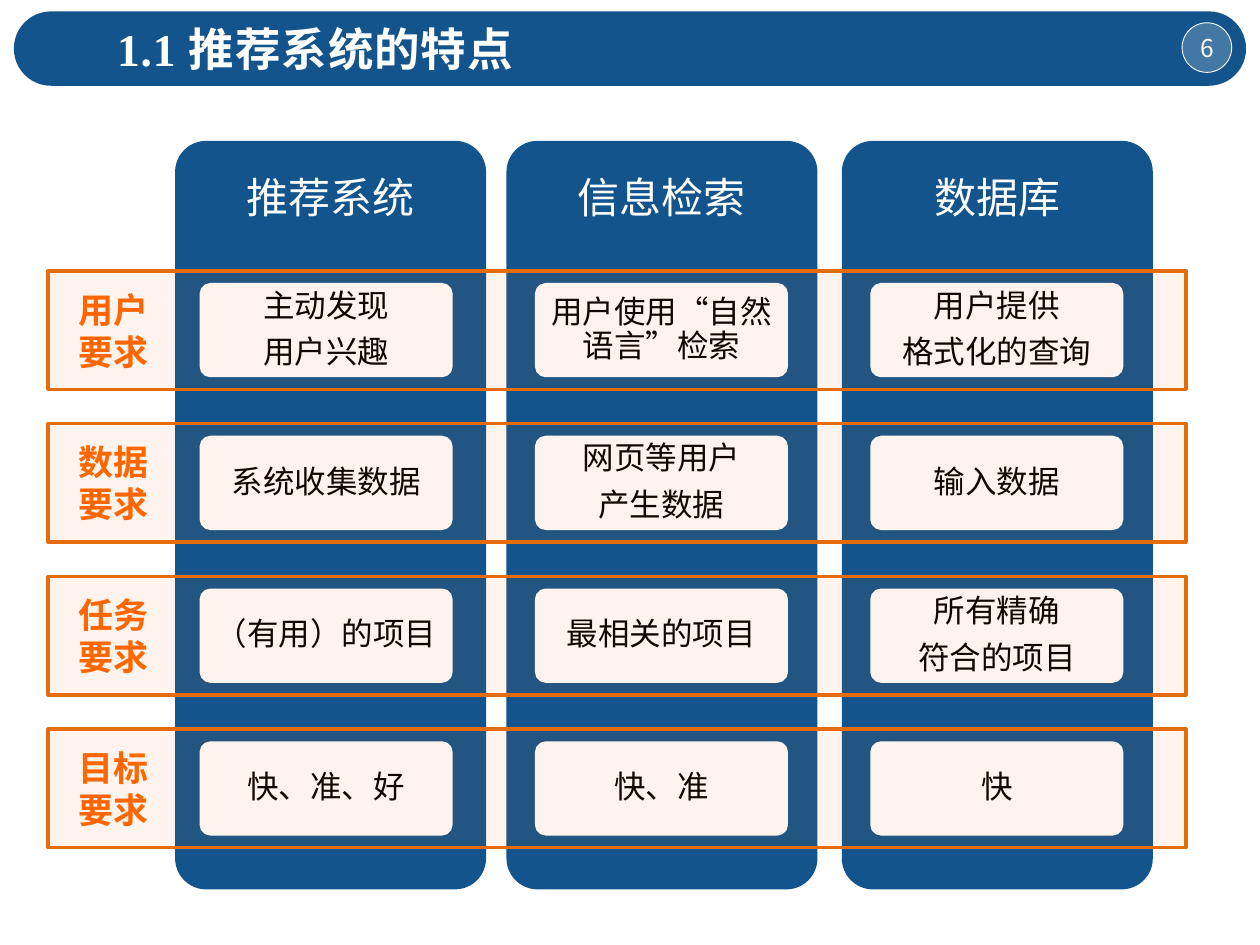
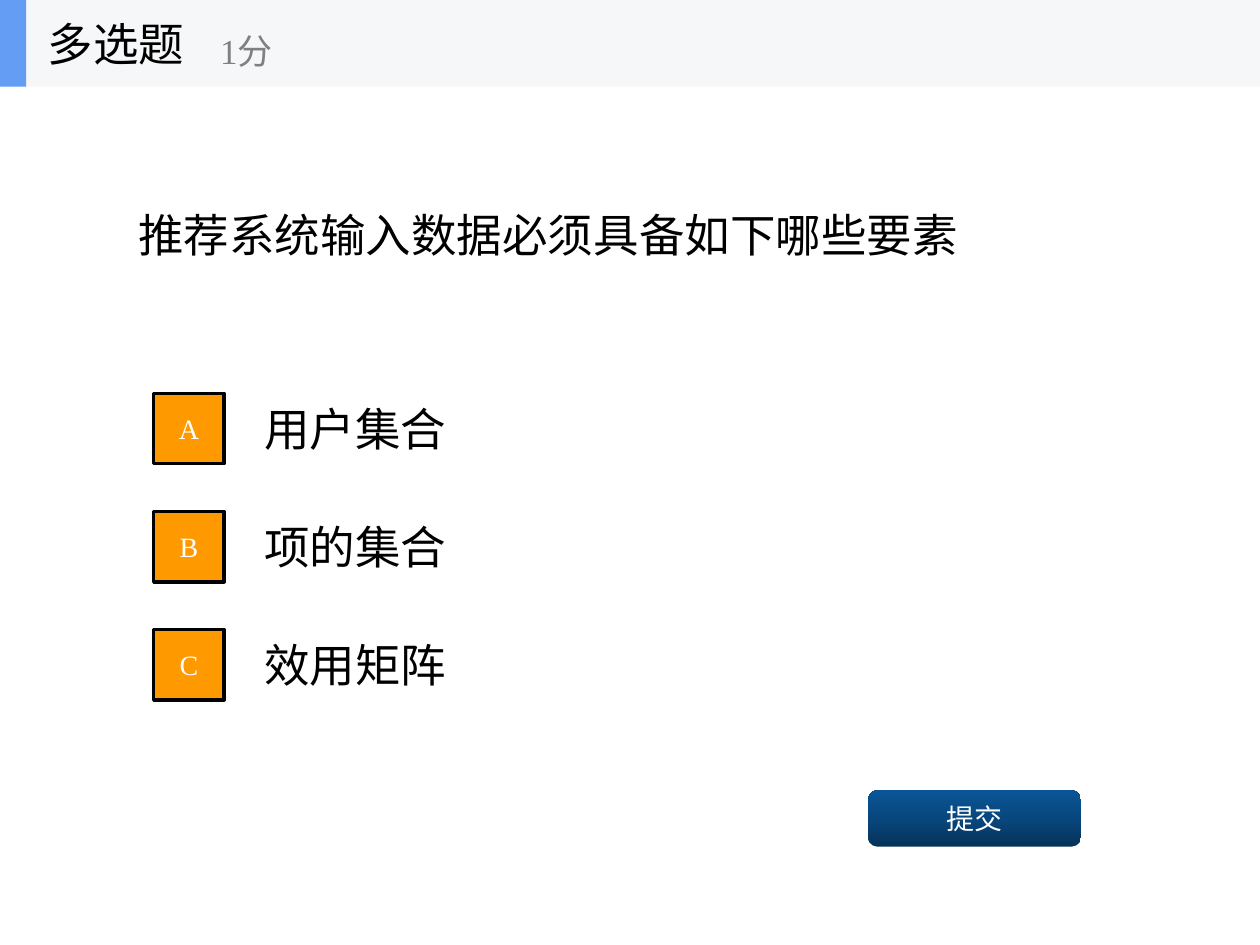
from copy import deepcopy
from pptx import Presentation
from pptx.dml.color import RGBColor
from pptx.enum.lang import MSO_LANGUAGE_ID
from pptx.enum.shapes import MSO_SHAPE
from pptx.enum.text import MSO_ANCHOR, PP_ALIGN
from pptx.oxml.ns import qn
from pptx.util import Cm, Pt
from lxml import etree

RECT, ROUND, OVAL = MSO_SHAPE.RECTANGLE, MSO_SHAPE.ROUNDED_RECTANGLE, MSO_SHAPE.OVAL
LEFT, MID = PP_ALIGN.LEFT, PP_ALIGN.CENTER
TOP, CENTRE = MSO_ANCHOR.TOP, MSO_ANCHOR.MIDDLE
CHINESE = MSO_LANGUAGE_ID.SIMPLIFIED_CHINESE

# Content
TITLE, PAGE = "1.1 推荐系统的特点", "6"
HEADS = ["推荐系统", "信息检索", "数据库"]
ROWS = [
    ("用户\n要求", ["主动发现\n用户兴趣", "用户使用“自然语言”检索", "用户提供\n格式化的查询"]),
    ("数据\n要求", ["系统收集数据", "网页等用户\n产生数据", "输入数据"]),
    ("任务\n要求", ["（有用）的项目", "最相关的项目", "所有精确\n符合的项目"]),
    ("目标\n要求", ["快、准、好", "快、准", "快"]),
]
KIND, SCORE, SUBMIT = "多选题", "1分", "提交"
ASK = "推荐系统输入数据必须具备如下哪些要素"
PICKS = [("A", "用户集合"), ("B", "项的集合"), ("C", "效用矩阵")]

# Look
HUES = {
    "blue": "13548C", "white": "FFFFFF", "black": "000000", "orange": "FF6600",
    "rust": "E46C0A", "amber": "FF9900", "pale": "F6F7F8", "sky": "639EF4", "grey": "808080",
    "deep": "063258", "navy": "08477E", "sea": "0A5595",
}
FACE = "Times New Roman"
BASE = {"name": FACE, "bold": False, "language_id": CHINESE}
TIGHT = {"alignment": MID, "line_spacing": 0.9}
STYLES = {
    "title": ({"size": Pt(26), "bold": True}, "white", {"alignment": LEFT}),
    "page": ({"size": Pt(14), "name": "Noto Sans CJK SC"}, "white", {"alignment": MID}),
    "head": ({"size": Pt(24)}, "white", {**TIGHT, "space_after": Pt(8.4)}),
    "cell": ({"size": Pt(18)}, "black", {**TIGHT, "space_after": Pt(7)}),
    "row": ({"size": Pt(20), "bold": True}, "orange", {"alignment": LEFT}),
    "body": ({"size": Pt(26)}, "black", {"alignment": LEFT}),
    "score": ({"size": Pt(20)}, "grey", {"alignment": LEFT}),
    "key": ({"size": Pt(16)}, "white", {"alignment": MID}),
}

# Layout, in centimetres
WIDE, HIGH = 25.4, 19.05
COLS, COL_TOP, COL_W, COL_H, HEAD_H = [3.53, 10.21, 16.97], 2.84, 6.27, 15.09, 2.39
CARD_X, CARD_GAP, CARD_W, CARD_H = 4.06, 6.76, 5.03, 1.83
ROW_X, ROW_Y, ROW_W, ROW_H, ROW_GAP = 0.97, 5.46, 22.94, 2.39, 3.08
BAR_H, KEY = 1.75, 1.42
PICK_Y, PICK_H, PICK_GAP = 7.75, 1.78, 2.38


def hue(name):
    return RGBColor.from_string(HUES[name])


def apply(target, values):
    for key, value in values.items():
        setattr(target, key, value)


def write(shape, text, style, pads=None, wrap=True, anchor=CENTRE):
    """Fill a shape with styled text; pads are left, top, right, bottom."""
    font, shade, para = STYLES[style]
    frame = shape.text_frame
    frame.word_wrap, frame.vertical_anchor = wrap, anchor
    if pads:
        for side, pad in zip(("left", "top", "right", "bottom"), pads):
            setattr(frame, "margin_" + side, Cm(pad))
    for i, line in enumerate(text.split("\n")):
        part = frame.add_paragraph() if i else frame.paragraphs[0]
        apply(part, para)
        run = part.add_run()
        run.text = line
        apply(run.font, {**BASE, **font})
        run.font.color.rgb = hue(shade)
    return shape


def label(slide, box, text, style, **more):
    shape = slide.shapes.add_textbox(*map(Cm, box))
    return write(shape, text, style, **more)


def block(slide, kind, box, fill=None, line=None, weight=2, bend=None, alpha=None):
    """Add a flat shape; alpha is opacity in percent."""
    shape = slide.shapes.add_shape(kind, *map(Cm, box))
    shape.shadow.inherit = False
    if bend is not None:
        shape.adjustments[0] = bend
    if fill:
        shape.fill.solid()
        shape.fill.fore_color.rgb = hue(fill)
    else:
        shape.fill.background()
    if line:
        shape.line.color.rgb = hue(line)
        shape.line.width = Pt(weight)
    else:
        shape.line.fill.background()
    if alpha:
        tint = shape._element.spPr.find(qn("a:solidFill"))[0]
        etree.SubElement(tint, qn("a:alpha")).set("val", str(alpha * 1000))
    return shape


def shade(shape, names):
    """Blend three colours from bottom to top."""
    shape.fill.gradient()
    shape.fill.gradient_angle = 90
    first = next(shape._element.iter(qn("a:gs")))
    first.addnext(deepcopy(first))
    for i, (stop, name) in enumerate(zip(shape.fill.gradient_stops, names)):
        stop.color.rgb = hue(name)
        stop.position = i / 2


def compare(slide):
    block(slide, ROUND, (0.28, 0.23, 24.84, 1.5), "blue", bend=0.5)
    badge = block(slide, OVAL, (23.83, 0.46, 1, 1), "white", "white", 0.5, alpha=21)
    write(badge, PAGE, "page", pads=(0, 0, 0, 0), wrap=False)
    title = label(slide, (2.11, 0.3, 10.95, 1.37), TITLE, "title", anchor=TOP)
    title.text_frame.paragraphs[0].runs[0]._r.get_or_add_rPr().set("spc", "50")

    for c, (x, head) in enumerate(zip(COLS, HEADS)):
        block(slide, ROUND, (x, COL_TOP, COL_W, COL_H), "blue", bend=0.1)
        label(slide, (x, COL_TOP, COL_W, HEAD_H), head, "head", pads=[0.25] * 4)
        left = CARD_X + c * CARD_GAP
        for r, (_, cells) in enumerate(ROWS):
            top = ROW_Y + r * ROW_GAP + (ROW_H - CARD_H) / 2
            block(slide, ROUND, (left, top, CARD_W, CARD_H), "white", "white", bend=0.1)
            inner = (left + 0.05, top + 0.05, CARD_W - 0.1, CARD_H - 0.1)
            text = block(slide, RECT, inner, line="white", weight=0.75)
            write(text, cells[c], "cell", pads=(0.13, 0.1, 0.13, 0.1))

    for r, (name, _) in enumerate(ROWS):
        box = (ROW_X, ROW_Y + r * ROW_GAP, ROW_W, ROW_H)
        strip = block(slide, RECT, box, "orange", "rust", alpha=7)
        write(strip, name, "row", pads=(0.61, 0.13, 0.25, 0.13))


def quiz(slide):
    label(slide, (2.54, BAR_H, 20.32, 5.94), ASK, "body")
    for i, (key, text) in enumerate(PICKS):
        top = PICK_Y + i * PICK_GAP
        label(slide, (5.08, top, 17.78, PICK_H), text, "body")
        box = (3.1, top + (PICK_H - KEY) / 2, KEY, KEY)
        write(block(slide, RECT, box, "amber", "black"), key, "key")

    button = block(slide, ROUND, (17.5, 15.93, 4.29, 1.14))
    shade(button, ["deep", "navy", "sea"])
    write(button, SUBMIT, "key")

    block(slide, RECT, (0, 0, WIDE, BAR_H), "pale")
    block(slide, RECT, (0, 0, 0.53, BAR_H), "sky")
    label(slide, (0.71, 0, 5.28, BAR_H), KIND, "body", wrap=False)
    label(slide, (4.19, 0.3, 6.35, 1.42), SCORE, "score", wrap=False)


def main():
    deck = Presentation()
    deck.slide_width, deck.slide_height = Cm(WIDE), Cm(HIGH)
    for draw in (compare, quiz):
        draw(deck.slides.add_slide(deck.slide_layouts[6]))
    deck.save("out.pptx")


if __name__ == "__main__":
    main()
